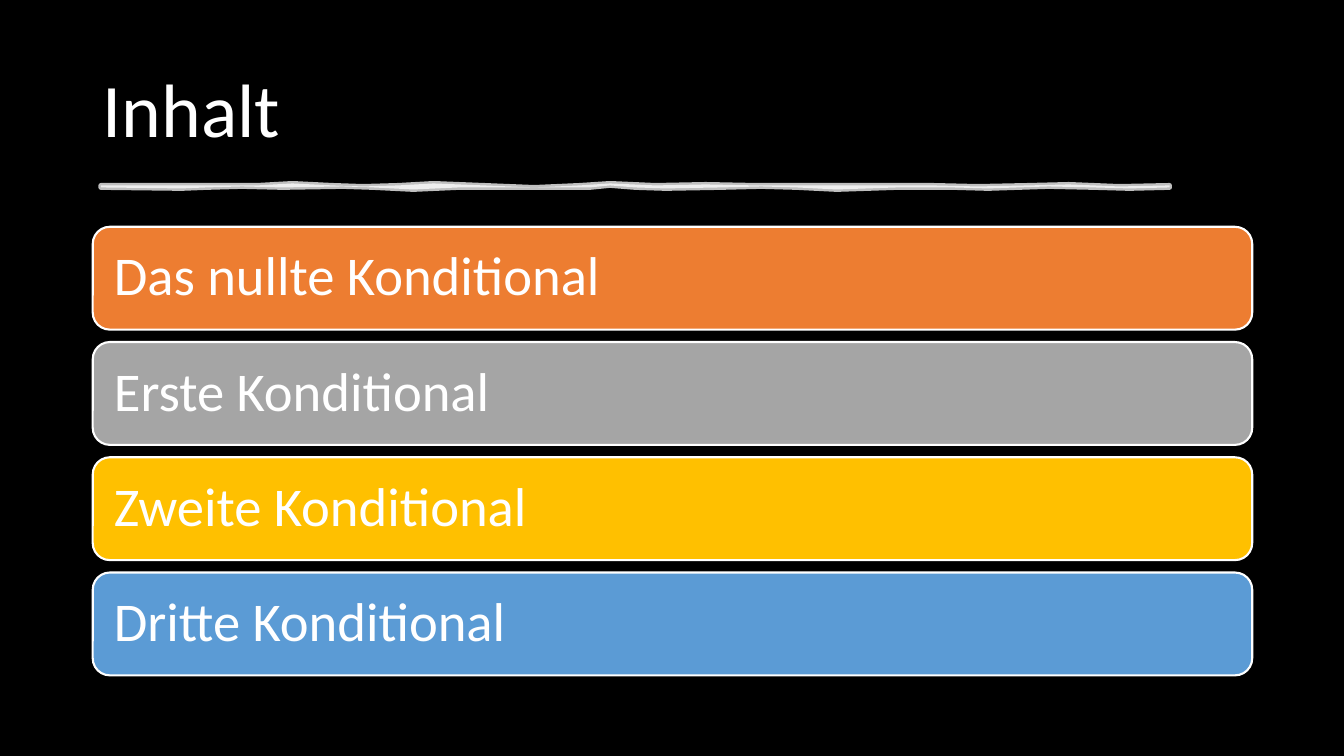
from dataclasses import dataclass

from lxml import etree
from pptx import Presentation
from pptx.dml.color import RGBColor
from pptx.enum.shapes import MSO_SHAPE
from pptx.enum.text import MSO_ANCHOR, MSO_AUTO_SIZE, PP_ALIGN
from pptx.oxml.ns import qn
from pptx.util import Inches, Pt

ROUNDED = MSO_SHAPE.ROUNDED_RECTANGLE
MIDDLE = MSO_ANCHOR.MIDDLE
LEFT = PP_ALIGN.LEFT
NO_AUTOFIT = MSO_AUTO_SIZE.NONE
TITLE_ONLY = 5


@dataclass(frozen=True)
class Theme:
    """Colours, font and sizes of the slide."""
    font: str = "Calibri"
    background: str = "000000"
    light: str = "FFFFFF"
    title_size: float = 54
    topic_size: float = 39
    topic_line: float = 1.5
    stroke_line: float = 3.5
    stroke_opacity: int = 75


THEME = Theme()
MARGIN, CONTENT_WIDTH = 0.92, 11.5
TOPICS_TOP, TOPICS_BOTTOM, TOPIC_HEIGHT = 2.25, 6.7, 1.02
TOPICS = [
    ("Das nullte Konditional", "ED7D31"),
    ("Erste Konditional", "A5A5A5"),
    ("Zweite Konditional", "FFC000"),
    ("Dritte Konditional", "5B9BD5"),
]
STROKE_UPPER = [
    (1, 1.84), (2.1, 1.84), (2.55, 1.84), (2.9, 1.82), (3.3, 1.84), (3.6, 1.85),
    (3.95, 1.84), (4.3, 1.82), (4.8, 1.84), (5.3, 1.86), (5.75, 1.84),
    (6.05, 1.82), (6.5, 1.84), (7, 1.83), (7.5, 1.84), (9.25, 1.84),
    (9.7, 1.85), (10.2, 1.84), (10.6, 1.83), (11.1, 1.85), (11.6, 1.84),
]
STROKE_LOWER = [
    (11.6, 1.86), (11.2, 1.87), (10.85, 1.86), (10.4, 1.85), (10.1, 1.86),
    (9.8, 1.87), (9.45, 1.86), (8.9, 1.86), (8.3, 1.88), (7.9, 1.86),
    (7.55, 1.85), (7.15, 1.86), (6.6, 1.87), (6.3, 1.86), (6.05, 1.84),
    (5.85, 1.86), (4.55, 1.86), (4.1, 1.88), (3.7, 1.86), (3.4, 1.85),
    (2.8, 1.86), (2.4, 1.85), (2.05, 1.86), (1.8, 1.87), (1, 1.86),
]


def color(value):
    """Return an RGB colour for a hex value."""
    return RGBColor.from_string(value)


def paint(shape, fill, line_width):
    """Give a shape a plain fill and a light outline."""
    shape.shadow.inherit = False
    shape.fill.solid()
    shape.fill.fore_color.rgb = color(fill)
    shape.line.color.rgb = color(THEME.light)
    shape.line.width = Pt(line_width)


def write(shape, text, size):
    """Set left-aligned, vertically centred text in a shape."""
    frame = shape.text_frame
    frame.text = text
    frame.word_wrap = True
    frame.auto_size = NO_AUTOFIT
    frame.vertical_anchor = MIDDLE
    para = frame.paragraphs[0]
    para.alignment = LEFT
    para.line_spacing = 0.9
    font = para.runs[0].font
    font.name = THEME.font
    font.size = Pt(size)
    font.color.rgb = color(THEME.light)


def add_title(slide, text):
    """Place and fill the title placeholder."""
    title = slide.shapes.title
    title.left, title.top = Inches(MARGIN), Inches(0.4)
    title.width, title.height = Inches(CONTENT_WIDTH), Inches(1.45)
    write(title, text, THEME.title_size)


def add_brush_stroke(slide):
    """Draw the uneven translucent stroke below the title."""
    start, *points = [(Inches(x), Inches(y)) for x, y in STROKE_UPPER + STROKE_LOWER]
    builder = slide.shapes.build_freeform(*start)
    builder.add_line_segments(points, close=True)
    stroke = builder.convert_to_shape()
    paint(stroke, THEME.light, THEME.stroke_line)
    properties = stroke._element.spPr
    for solid in properties.iter(qn("a:solidFill")):
        alpha = etree.SubElement(solid[0], qn("a:alpha"))
        alpha.set("val", str(THEME.stroke_opacity * 1000))
    etree.SubElement(properties.find(qn("a:ln")), qn("a:round"))


def add_topic(slide, top, text, fill):
    """Add one coloured topic bar."""
    bar = slide.shapes.add_shape(
        ROUNDED, Inches(MARGIN), Inches(top), Inches(CONTENT_WIDTH), Inches(TOPIC_HEIGHT))
    paint(bar, fill, THEME.topic_line)
    write(bar, text, THEME.topic_size)
    bar.text_frame.margin_left = bar.text_frame.margin_right = Inches(0.16)


def main():
    """Build and save the contents slide."""
    deck = Presentation()
    deck.slide_width, deck.slide_height = Inches(13.33), Inches(7.5)
    slide = deck.slides.add_slide(deck.slide_layouts[TITLE_ONLY])
    slide.background.fill.solid()
    slide.background.fill.fore_color.rgb = color(THEME.background)
    add_title(slide, "Inhalt")
    add_brush_stroke(slide)
    step = (TOPICS_BOTTOM - TOPIC_HEIGHT - TOPICS_TOP) / (len(TOPICS) - 1)
    for index, (text, fill) in enumerate(TOPICS):
        add_topic(slide, TOPICS_TOP + index * step, text, fill)
    deck.save("out.pptx")


main()
